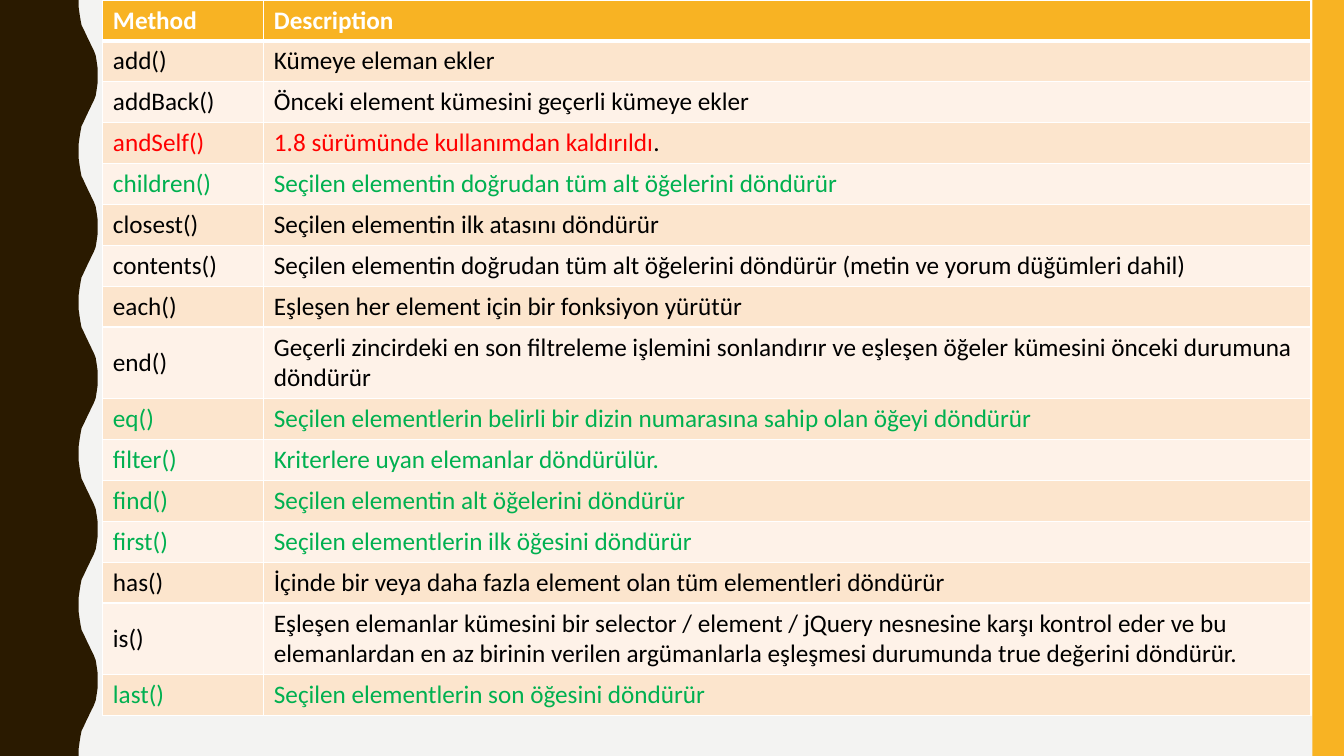
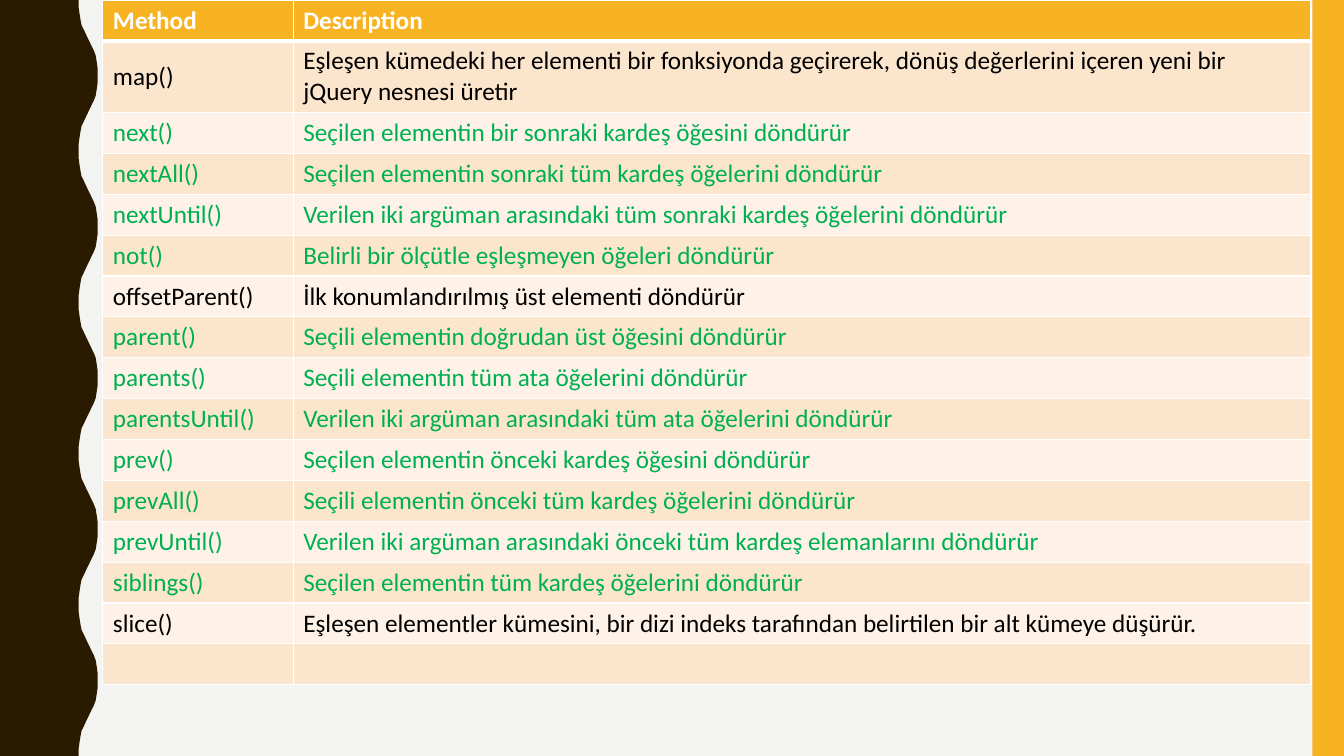
"""Build two slides that list the jQuery traversing methods."""
from lxml import etree
from pptx import Presentation
from pptx.dml.color import RGBColor
from pptx.enum.shapes import MSO_SHAPE
from pptx.enum.text import MSO_ANCHOR
from pptx.oxml.ns import qn
from pptx.util import Pt

RECTANGLE = MSO_SHAPE.RECTANGLE
MIDDLE = MSO_ANCHOR.MIDDLE

BACKGROUND = RGBColor(0xF3, 0xF3, 0xF2)
BROWN = RGBColor(0x2A, 0x1A, 0x00)
AMBER = RGBColor(0xF8, 0xB3, 0x23)
DARK_ROW = RGBColor(0xFC, 0xE5, 0xCD)
LIGHT_ROW = RGBColor(0xFE, 0xF2, 0xE8)
WHITE = RGBColor(0xFF, 0xFF, 0xFF)
BLACK = RGBColor(0x00, 0x00, 0x00)
RED = RGBColor(0xFF, 0x00, 0x00)
GREEN = RGBColor(0x00, 0xB0, 0x50)

FONT = "Calibri"
WIDTH, HEIGHT = 960, 540
TABLE_LEFT, TABLE_WIDTH, ROW_HEIGHT = 73.5, 863, 29.2
BAND_LEFT = 937.5
WAVE_LENGTH = 108
WAVE_RISE = [
    (56.2, 0), (56.2, 5), (56.9, 10), (57.6, 14.4), (58.3, 18),
    (59.8, 21), (61.2, 24), (62.6, 27), (64.1, 30), (65.5, 33),
    (67, 36), (68.4, 39.6), (69.1, 44), (69.8, 49), (69.8, 54),
]
WAVE_FALL = [(x, WAVE_LENGTH - y) for x, y in reversed(WAVE_RISE[:-1])]

TABLES = [
    (115, [
        ("add()", "Kümeye eleman ekler", BLACK),
        ("addBack()", "Önceki element kümesini geçerli kümeye ekler", BLACK),
        ("andSelf()", "1.8 sürümünde kullanımdan kaldırıldı", RED),
        ("children()", "Seçilen elementin doğrudan tüm alt öğelerini döndürür", GREEN),
        ("closest()", "Seçilen elementin ilk atasını döndürür", BLACK),
        ("contents()", "Seçilen elementin doğrudan tüm alt öğelerini döndürür "
                       "(metin ve yorum düğümleri dahil)", BLACK),
        ("each()", "Eşleşen her element için bir fonksiyon yürütür", BLACK),
        ("end()", "Geçerli zincirdeki en son filtreleme işlemini sonlandırır ve "
                  "eşleşen öğeler kümesini önceki durumuna döndürür", BLACK),
        ("eq()", "Seçilen elementlerin belirli bir dizin numarasına sahip olan "
                 "öğeyi döndürür", GREEN),
        ("filter()", "Kriterlere uyan elemanlar döndürülür.", GREEN),
        ("find()", "Seçilen elementin alt öğelerini döndürür", GREEN),
        ("first()", "Seçilen elementlerin ilk öğesini döndürür", GREEN),
        ("has()", "İçinde bir veya daha fazla element olan tüm elementleri döndürür", BLACK),
        ("is()", "Eşleşen elemanlar kümesini bir selector / element / jQuery nesnesine "
                 "karşı kontrol eder ve bu elemanlardan en az birinin verilen "
                 "argümanlarla eşleşmesi durumunda true değerini döndürür.", BLACK),
        ("last()", "Seçilen elementlerin son öğesini döndürür", GREEN),
    ]),
    (136, [
        ("map()", "Eşleşen kümedeki her elementi bir fonksiyonda geçirerek, dönüş "
                  "değerlerini içeren yeni bir jQuery nesnesi üretir", BLACK),
        ("next()", "Seçilen elementin bir sonraki kardeş öğesini döndürür", GREEN),
        ("nextAll()", "Seçilen elementin sonraki tüm kardeş öğelerini döndürür", GREEN),
        ("nextUntil()", "Verilen iki argüman arasındaki tüm sonraki kardeş öğelerini "
                        "döndürür", GREEN),
        ("not()", "Belirli bir ölçütle eşleşmeyen öğeleri döndürür", GREEN),
        ("offsetParent()", "İlk konumlandırılmış üst elementi döndürür", BLACK),
        ("parent()", "Seçili elementin doğrudan üst öğesini döndürür", GREEN),
        ("parents()", "Seçili elementin tüm ata öğelerini döndürür", GREEN),
        ("parentsUntil()", "Verilen iki argüman arasındaki tüm ata öğelerini döndürür", GREEN),
        ("prev()", "Seçilen elementin önceki kardeş öğesini döndürür", GREEN),
        ("prevAll()", "Seçili elementin önceki tüm kardeş öğelerini döndürür", GREEN),
        ("prevUntil()", "Verilen iki argüman arasındaki önceki tüm kardeş elemanlarını "
                        "döndürür", GREEN),
        ("siblings()", "Seçilen elementin tüm kardeş öğelerini döndürür", GREEN),
        ("slice()", "Eşleşen elementler kümesini, bir dizi indeks tarafından belirtilen "
                    "bir alt kümeye düşürür.", BLACK),
        ("", "", BLACK),
    ]),
]


def write(para, text, color=BLACK, bold=False, size=18):
    span = para.add_run()
    span.text = text
    span.font.name = FONT
    span.font.size = Pt(size)
    span.font.bold = bold
    span.font.color.rgb = color


def add_borders(cell, top, bottom):
    properties = cell._tc.get_or_add_tcPr()
    for side, width in (("lnL", 1), ("lnR", 1), ("lnT", top), ("lnB", bottom)):
        line = etree.SubElement(properties, qn(f"a:{side}"), w=str(Pt(width)))
        fill = etree.SubElement(line, qn("a:solidFill"))
        etree.SubElement(fill, qn("a:srgbClr"), val=str(WHITE))


deck = Presentation()
deck.slide_width, deck.slide_height = Pt(WIDTH), Pt(HEIGHT)
master_fill = deck.slide_master.background.fill
master_fill.solid()
master_fill.fore_color.rgb = BACKGROUND

wave_points = [
    (Pt(x), Pt(start + y))
    for start in range(0, HEIGHT, WAVE_LENGTH)
    for x, y in WAVE_RISE + WAVE_FALL
]

for method_width, methods in TABLES:
    page = deck.slides.add_slide(deck.slide_layouts[6])

    outline = page.shapes.build_freeform(0, 0)
    outline.add_line_segments(wave_points + [(0, Pt(HEIGHT))], close=True)
    wave = outline.convert_to_shape()
    band = page.shapes.add_shape(
        RECTANGLE, Pt(BAND_LEFT), 0, Pt(WIDTH - BAND_LEFT), Pt(HEIGHT))
    for shape, color in ((wave, BROWN), (band, AMBER)):
        shape.shadow.inherit = False
        shape.fill.solid()
        shape.fill.fore_color.rgb = color
        shape.line.fill.background()

    rows = [("Method", "Description", WHITE)] + methods
    table = page.shapes.add_table(
        len(rows), 2, Pt(TABLE_LEFT), 0, Pt(TABLE_WIDTH), Pt(ROW_HEIGHT * len(rows))).table
    table.columns[0].width = Pt(method_width)
    table.columns[1].width = Pt(TABLE_WIDTH - method_width)

    for row, (method, description, color) in enumerate(rows):
        table.rows[row].height = Pt(ROW_HEIGHT)
        row_fill = AMBER if row == 0 else DARK_ROW if row % 2 else LIGHT_ROW
        for column, text in enumerate((method, description)):
            cell = table.cell(row, column)
            add_borders(cell, top=3 if row == 1 else 1, bottom=3 if row == 0 else 1)
            cell.fill.solid()
            cell.fill.fore_color.rgb = row_fill
            cell.vertical_anchor = MIDDLE
            para = cell.text_frame.paragraphs[0]
            if text:
                write(para, text, color=color, bold=row == 0)
            if color == RED and column == 1:
                write(para, ".")

deck.save("out.pptx")
